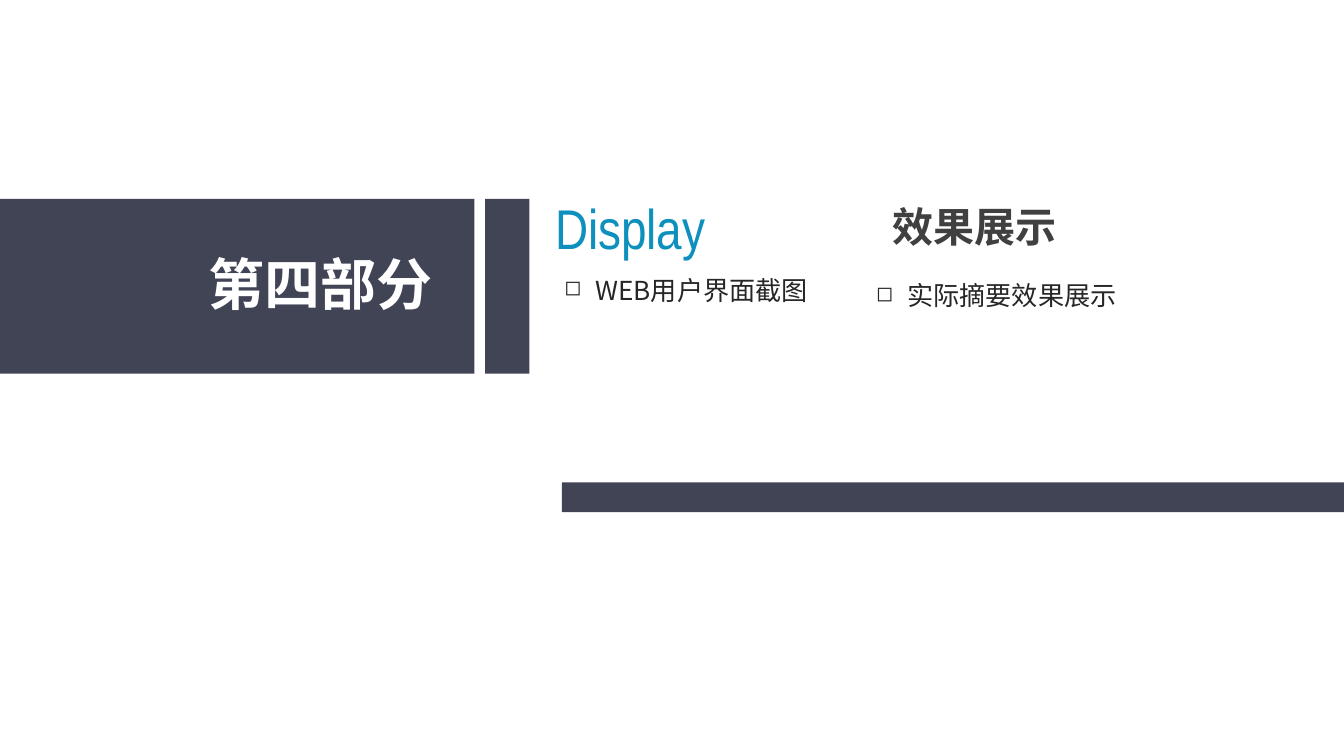
from lxml.etree import SubElement
from pptx import Presentation
from pptx.dml.color import RGBColor
from pptx.enum.shapes import MSO_SHAPE as Shape
from pptx.enum.text import MSO_ANCHOR as Anchor, MSO_AUTO_SIZE as AutoSize, PP_ALIGN as Align
from pptx.oxml.ns import qn
from pptx.util import Inches, Pt

# Content: boxes are left, top, width, height in inches
CJK, LATIN = "Noto Sans CJK SC", "Arial Narrow"
BAND_COLOUR = "414455"
BAND_TOP, BAND_HEIGHT = 1.48, 1.3
bands = [
    (0, BAND_TOP, 3.53, BAND_HEIGHT),
    (3.61, BAND_TOP, 0.33, BAND_HEIGHT),
    (4.18, 3.59, 5.82, 0.22),
]
section = ("第四部分", (1.48, 1.82, 1.83, 0.58), 30, CJK, "FFFFFF", True)
headings = [
    ("Display", (4.06, 1.4, 1.43, 0.58), 30, LATIN, "0E90BE", False),
    ("效果展示", (6.57, 1.46, 1.39, 0.45), 22, CJK, "404040", True),
]
topics = [
    ("WEB用户界面截图", (4.13, 2, 2, 0.31)),
    ("实际摘要效果展示", (6.45, 2.04, 1.96, 0.31)),
]
topic_style = (14, CJK, "262626", False)
BULLET, BULLET_INDENT, BULLET_SCALE = "◻", 0.23, "80000"


def colour(hex_string):
    return RGBColor.from_string(hex_string)


def inches(box):
    return [Inches(length) for length in box]


def write(holder, words, size, font_name, hex_string, bold):
    frame = holder.text_frame
    frame.text = words
    frame.word_wrap = False
    frame.auto_size = AutoSize.SHAPE_TO_FIT_TEXT
    frame.vertical_anchor = Anchor.TOP
    frame.margin_left = frame.margin_right = Inches(0.07)
    frame.margin_top = frame.margin_bottom = Inches(0.04)
    paragraph = frame.paragraphs[0]
    paragraph.alignment = Align.LEFT
    run = paragraph.runs[0]
    run.font.size, run.font.bold = Pt(size), bold
    run.font.name = font_name
    run.font.color.rgb = colour(hex_string)
    SubElement(run._r.get_or_add_rPr(), qn("a:ea"), typeface=font_name)
    return paragraph


def add_bullet(paragraph):
    properties = paragraph._p.get_or_add_pPr()
    indent = Inches(BULLET_INDENT)
    properties.set("marL", str(indent))
    properties.set("indent", str(-indent))
    SubElement(properties, qn("a:buSzPct"), val=BULLET_SCALE)
    SubElement(properties, qn("a:buChar"), char=BULLET)


# Widescreen slide, 16 by 9
prs = Presentation()
prs.slide_width = Inches(10)
prs.slide_height = prs.slide_width * 9 // 16
slide = prs.slides.add_slide(prs.slide_layouts[5])

# Dark bands
for box in bands:
    band = slide.shapes.add_shape(Shape.RECTANGLE, *inches(box))
    band.shadow.inherit = False
    band.fill.solid()
    band.fill.fore_color.rgb = colour(BAND_COLOUR)
    band.line.fill.background()

# Section title, brought in front of its band
words, box, *style = section
title = slide.shapes.title
title.left, title.top, title.width, title.height = inches(box)
write(title, words, *style)
slide.shapes.element.append(title.element)

# Headings
for words, box, *style in headings:
    write(slide.shapes.add_textbox(*inches(box)), words, *style)

# Bulleted topics
for words, box in topics:
    add_bullet(write(slide.shapes.add_textbox(*inches(box)), words, *topic_style))

prs.save("out.pptx")
